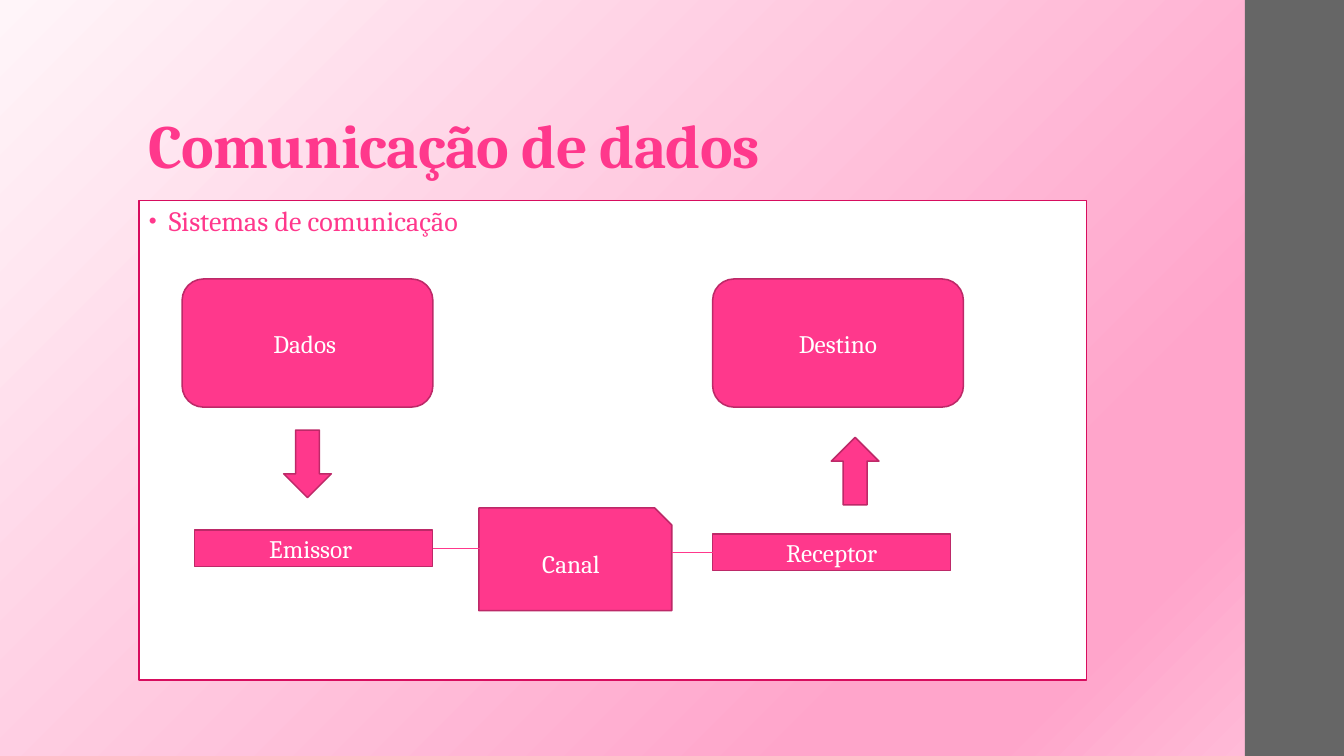
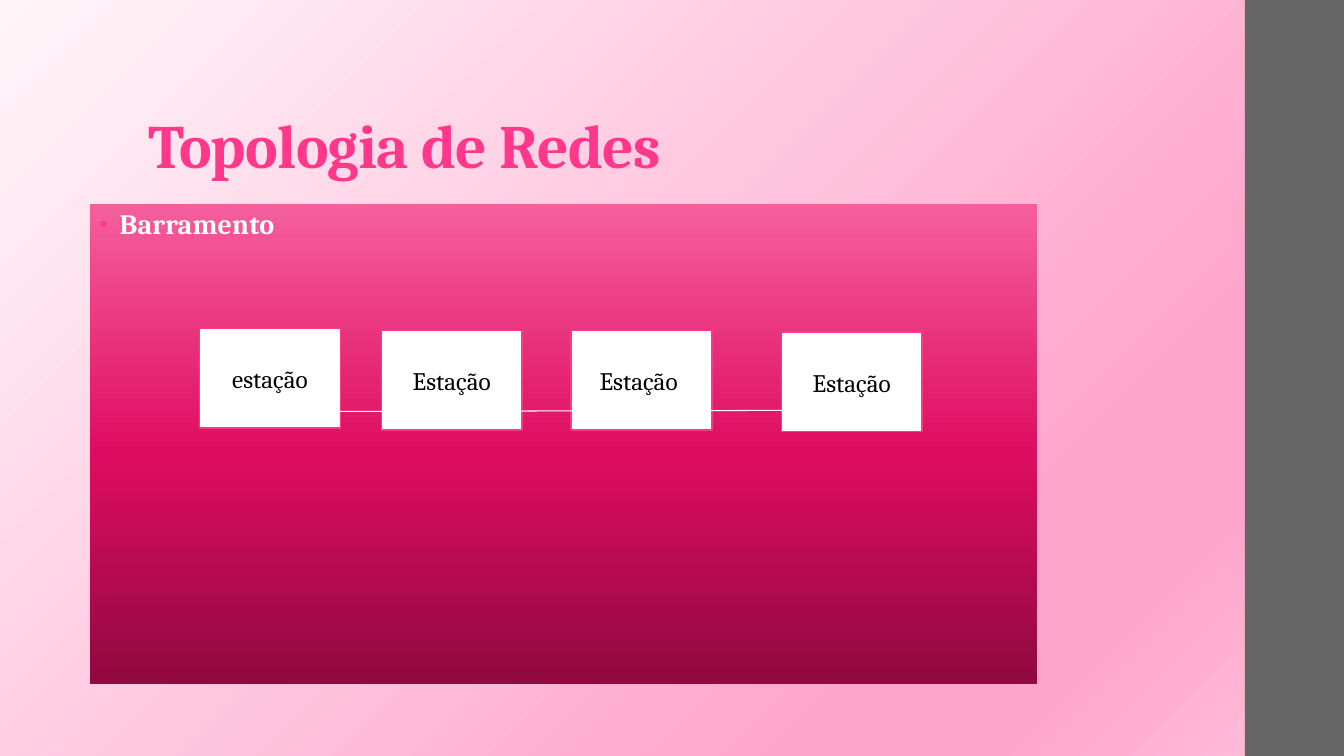
from lxml.etree import SubElement
from pptx import Presentation
from pptx.dml.color import RGBColor
from pptx.enum.shapes import MSO_CONNECTOR, MSO_SHAPE
from pptx.enum.text import MSO_ANCHOR, MSO_AUTO_SIZE, PP_ALIGN
from pptx.oxml.ns import qn
from pptx.util import Cm, Pt

FONT = "Cambria"
PINK = "FF388C"
DARK_PINK = "BD2968"
PANEL_BORDER = "D70D5E"
WHITE = "FFFFFF"
BLACK = "000000"
GRAY = "666666"
BACKGROUND_STOPS = [(0, "FFF5F9"), (74, "FFA5CB"), (83, "FFA5CB"), (100, "FFC3DC")]
PANEL_STOPS = [(0, "90093F"), (48, "DF0D61"), (100, "F55F9C")]

SLIDE_WIDTH, SLIDE_HEIGHT = 33.87, 19.05
PANEL_SIZE = (23.88, 12.09)
LEFT_SIDE, RIGHT_SIDE = 1, 3


def paint(color_format, color):
    color_format.rgb = RGBColor.from_string(color)


def fill_solid(shape, color):
    shape.fill.solid()
    paint(shape.fill.fore_color, color)


def draw_line(line, color, width):
    line.fill.solid()
    paint(line.color, color)
    line.width = Pt(width)


def fill_gradient(fill, owner, stops, angle):
    """Fill with (percent, colour) stops; the angle runs counter-clockwise."""
    fill.gradient()
    fill.gradient_angle = angle
    stop_list = owner.find(".//" + qn("a:gsLst"))
    for stop in list(stop_list):
        stop_list.remove(stop)
    for percent, color in stops:
        stop = SubElement(stop_list, qn("a:gs"), pos=str(percent * 1000))
        SubElement(stop, qn("a:srgbClr"), val=color)


def place(shape, left, top, width, height):
    shape.left, shape.top = Cm(left), Cm(top)
    shape.width, shape.height = Cm(width), Cm(height)


def add_run(paragraph, text, size, color, bold=False, spacing=0):
    """Add a run; spacing is in hundredths of a point."""
    run = paragraph.add_run()
    run.text = text
    run.font.name = FONT
    run.font.size = Pt(size)
    run.font.bold = bold
    paint(run.font.color, color)
    if spacing:
        run.font._element.set("spc", str(spacing))


def set_up_template(presentation):
    """Put the background, side band and title position in the template."""
    master = presentation.slide_master
    fill_gradient(master.background.fill, master.element, BACKGROUND_STOPS, 315)
    layout = presentation.slide_layouts.get_by_name("Title and Content")
    place(layout.placeholders[0], 3.5, 0.74, 26.92, 3.96)
    return layout


def move_band_to_master(presentation, slide):
    band = slide.shapes.add_shape(
        MSO_SHAPE.RECTANGLE, Cm(31.37), 0, Cm(2.5), Cm(SLIDE_HEIGHT))
    band.shadow.inherit = False
    fill_solid(band, GRAY)
    band.line.fill.background()
    presentation.slide_master.shapes.element.insert(2, band.element)


def add_slide(presentation, layout, title):
    slide = presentation.slides.add_slide(layout)
    frame = slide.shapes.title.text_frame
    frame.auto_size = MSO_AUTO_SIZE.NONE
    frame.vertical_anchor = MSO_ANCHOR.BOTTOM
    frame.margin_top = Cm(0.08)
    paragraph = frame.paragraphs[0]
    paragraph.alignment = PP_ALIGN.LEFT
    paragraph.line_spacing = 0.9
    add_run(paragraph, title, 44, PINK, bold=True, spacing=-50)
    return slide


def set_panel(slide, left, top, text, color, bold=False, spacing=0):
    """Place the body placeholder as a panel with one bulleted line."""
    panel = slide.placeholders[1]
    place(panel, left, top, *PANEL_SIZE)
    panel.text_frame.auto_size = MSO_AUTO_SIZE.NONE
    paragraph = panel.text_frame.paragraphs[0]
    paragraph.line_spacing = 0.95
    paragraph.space_before, paragraph.space_after = Pt(14), Pt(2)
    add_run(paragraph, text, 20, color, bold, spacing)
    properties = paragraph._p.get_or_add_pPr()
    properties.set("marL", str(Cm(0.5)))
    properties.set("indent", str(Cm(-0.5)))
    bullet_color = SubElement(properties, qn("a:buClr"))
    SubElement(bullet_color, qn("a:srgbClr"), val=PINK)
    SubElement(properties, qn("a:buSzPct"), val="80000")
    SubElement(properties, qn("a:buChar"), char="•")
    return panel


def add_box(slide, kind, left, top, width, height, text="",
            fill=PINK, border=DARK_PINK, color=WHITE):
    box = slide.shapes.add_shape(kind, Cm(left), Cm(top), Cm(width), Cm(height))
    box.shadow.inherit = False
    fill_solid(box, fill)
    draw_line(box.line, border, 1.1)
    if text:
        box.text_frame.vertical_anchor = MSO_ANCHOR.MIDDLE
        paragraph = box.text_frame.paragraphs[0]
        paragraph.alignment = PP_ALIGN.CENTER
        add_run(paragraph, text, 18, color)
    return box


def add_link(slide, start, end, color):
    link = slide.shapes.add_connector(
        MSO_CONNECTOR.STRAIGHT, *(Cm(length) for length in start + end))
    draw_line(link.line, color, 0.75)
    SubElement(link.element.spPr, qn("a:effectLst"))
    return link


def build_communication(slide):
    panel = set_panel(slide, 3.5, 5.05, "Sistemas de comunicação", PINK)
    fill_solid(panel, WHITE)
    draw_line(panel.line, PANEL_BORDER, 1.1)

    for left, text in ((4.59, "Dados "), (17.96, "Destino")):
        add_box(slide, MSO_SHAPE.ROUNDED_RECTANGLE, left, 7.03, 6.32, 3.23, text)
    sender, receiver = (
        add_box(slide, MSO_SHAPE.RECTANGLE, left, top, 6, 0.92, text)
        for left, top, text in ((4.9, 13.36, "Emissor "), (17.96, 13.46, "Receptor")))
    for left, top, rotation in ((7.15, 10.84, 0), (20.95, 11.02, 180)):
        arrow = add_box(slide, MSO_SHAPE.DOWN_ARROW, left, top, 1.2, 1.7)
        arrow.rotation = rotation
    add_box(slide, MSO_SHAPE.SNIP_1_RECTANGLE, 12.07, 12.8, 4.86, 2.59, "Canal")

    sender_link = add_link(slide, (10.9, 13.82), (12.17, 13.82), PINK)
    sender_link.begin_connect(sender, RIGHT_SIDE)
    receiver_link = add_link(slide, (16.93, 13.92), (17.96, 13.92), PINK)
    receiver_link.end_connect(receiver, LEFT_SIDE)


def build_topology(slide):
    panel = set_panel(slide, 2.26, 5.14, "Barramento", WHITE, bold=True, spacing=10)
    fill_gradient(panel.fill, panel.element, PANEL_STOPS, 90)

    stations = ((5.03, 8.28, "estação"), (9.61, 8.33, "Estação"),
                (14.39, 8.33, "Estação "), (19.69, 8.37, "Estação"))
    for left, top, text in stations:
        add_box(slide, MSO_SHAPE.RECTANGLE, left, top, 3.55, 2.51, text,
                fill=WHITE, border=PINK, color=BLACK)
    add_link(slide, (8.13, 10.37), (20.35, 10.34), WHITE)


def main():
    presentation = Presentation()
    presentation.slide_width = Cm(SLIDE_WIDTH)
    presentation.slide_height = Cm(SLIDE_HEIGHT)
    layout = set_up_template(presentation)

    communication = add_slide(presentation, layout, "Comunicação de dados")
    move_band_to_master(presentation, communication)
    build_communication(communication)
    build_topology(add_slide(presentation, layout, "Topologia de Redes"))
    presentation.save("out.pptx")


if __name__ == "__main__":
    main()
